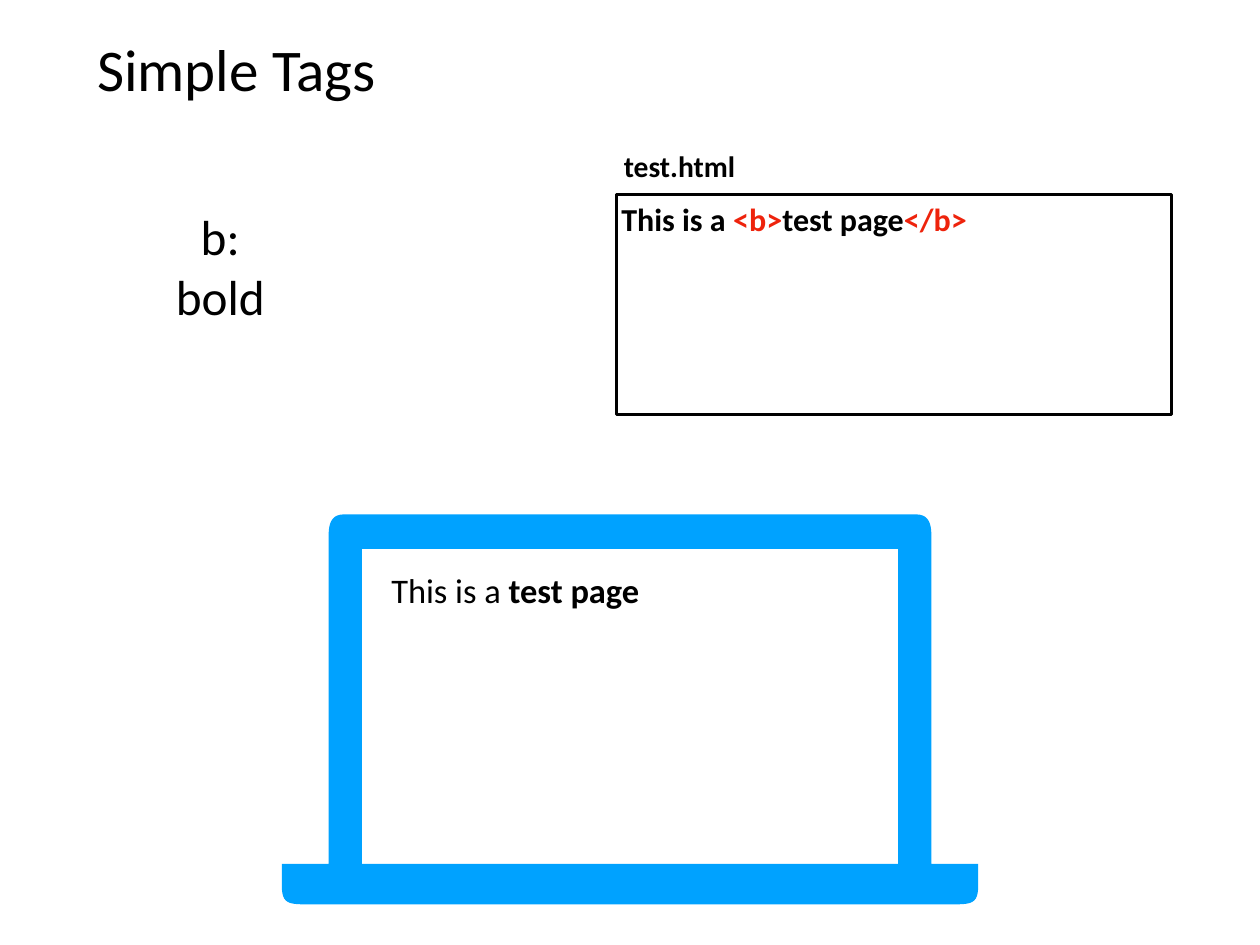
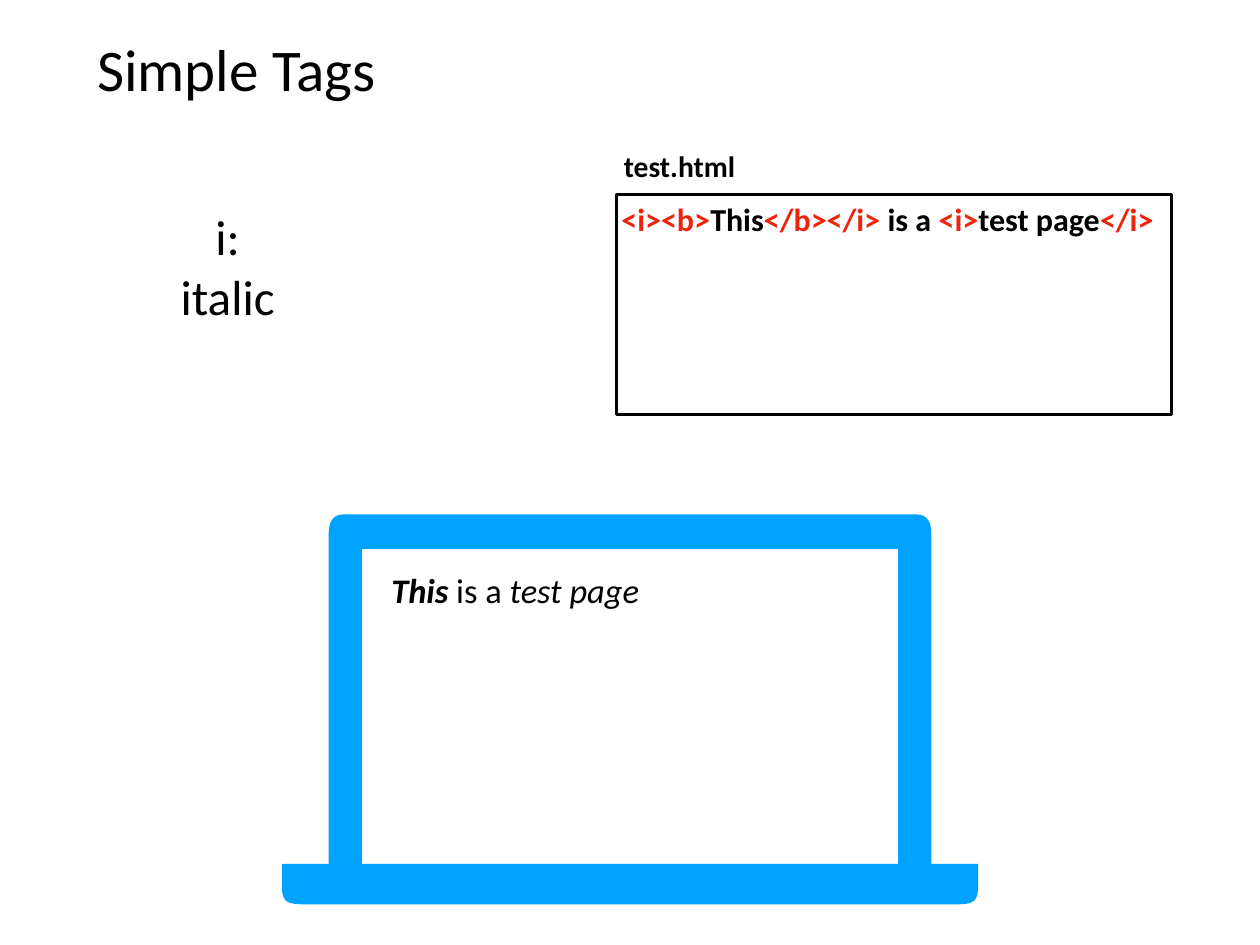
import pptx
import pptx.dml.color
import pptx.enum.shapes
import pptx.enum.text
import pptx.util

PX = 12700
WIDTH, HEIGHT = 1024, 768
CENTER = WIDTH // 2
INSET = 4
FONT = "Calibri"
COLORS = {"text": "000000", "tag": "EE230C", "laptop": "00A2FF", "paper": "FFFFFF"}
ALIGN = pptx.enum.text.PP_ALIGN
ANCHOR = pptx.enum.text.MSO_ANCHOR

PLAIN = {}
BOLD = {"bold": True}
ITALIC = {"italic": True}
BOLD_ITALIC = {"bold": True, "italic": True}
TAG = {"bold": True, "color": "tag"}


def px(value):
    return pptx.util.Emu(round(value * PX))


def color(name):
    return pptx.dml.color.RGBColor.from_string(COLORS[name])


def curve(start, first, second, end, steps=12):
    """Return the points of a cubic Bezier curve, both ends included."""
    weights = [((1 - t) ** 3, 3 * t * (1 - t) ** 2, 3 * t * t * (1 - t), t ** 3)
               for t in (step / steps for step in range(steps + 1))]
    controls = (start, first, second, end)
    return [tuple(sum(w * point[axis] for w, point in zip(row, controls))
                  for axis in (0, 1)) for row in weights]


def mirrored(left_half):
    """Complete an outline with its reflection in the slide's centre line."""
    return left_half + [(2 * CENTER - x, y) for x, y in reversed(left_half)]


class Deck:
    def __init__(self):
        self.presentation = pptx.Presentation()
        self.presentation.slide_width = px(WIDTH)
        self.presentation.slide_height = px(HEIGHT)
        self.slide = None

    def add_slide(self, title):
        layout = self.presentation.slide_layouts.get_by_name("Title Only")
        self.slide = self.presentation.slides.add_slide(layout)
        shape = self.slide.shapes.title
        box = {"left": 75, "top": 20, "width": 874, "height": 71}
        for name, value in box.items():
            setattr(shape, name, px(value))
        self.fill_text(shape, [(title, PLAIN)], 48)

    def fill_text(self, shape, runs, size, align=ALIGN.LEFT, anchor=ANCHOR.MIDDLE,
                  wrap=True):
        """Fill a shape with one paragraph of (text, format) runs."""
        frame = shape.text_frame
        frame_format = {"word_wrap": wrap, "vertical_anchor": anchor,
                        "auto_size": pptx.enum.text.MSO_AUTO_SIZE.NONE}
        for side in ("left", "top", "right", "bottom"):
            frame_format["margin_" + side] = px(INSET)
        for name, value in frame_format.items():
            setattr(frame, name, value)
        paragraph = frame.paragraphs[0]
        paragraph.alignment = align
        for text, run_format in runs:
            for index, line in enumerate(text.split("\n")):
                if index:
                    paragraph.add_line_break()
                run = paragraph.add_run()
                run.text = line
                font_format = {"name": FONT, "size": pptx.util.Pt(size),
                               "bold": run_format.get("bold", False),
                               "italic": run_format.get("italic", False)}
                for name, value in font_format.items():
                    setattr(run.font, name, value)
                run.font.color.rgb = color(run_format.get("color", "text"))

    def text(self, box, runs, size, align=ALIGN.LEFT):
        shape = self.slide.shapes.add_textbox(*map(px, box))
        self.fill_text(shape, runs, size, align, wrap=False)

    def code_box(self, box, runs):
        shape = self.slide.shapes.add_shape(
            pptx.enum.shapes.MSO_SHAPE.RECTANGLE, *map(px, box))
        shape.shadow.inherit = False
        shape.fill.solid()
        shape.fill.fore_color.rgb = color("paper")
        shape.line.color.rgb = color("text")
        shape.line.width = pptx.util.Pt(2)
        self.fill_text(shape, runs, 26, anchor=ANCHOR.TOP)

    def laptop(self):
        body = mirrored(
            curve((280, 418), (266, 418), (267, 430), (267, 444))
            + [(267, 702), (229, 702)]
            + curve((229, 702), (229, 702), (229, 710), (229, 719))
            + curve((229, 719), (229, 735), (234, 735), (253, 735)))
        screen = mirrored([(294, 446), (294, 702)])
        builder = self.slide.shapes.build_freeform(*map(px, body[0]))
        builder.add_line_segments([tuple(map(px, point)) for point in body[1:]])
        builder.move_to(*map(px, screen[0]))
        builder.add_line_segments([tuple(map(px, point)) for point in screen[1:]])
        shape = builder.convert_to_shape()
        shape.shadow.inherit = False
        shape.fill.solid()
        shape.fill.fore_color.rgb = color("laptop")
        shape.line.fill.background()


TAG_SLIDES = [
    {"term": "b:\nbold", "term_box": (139, 163, 80, 106),
     "code": [("This is a ", BOLD), ("<b>", TAG), ("test page", BOLD), ("</b>", TAG)],
     "result": [("This is a ", PLAIN), ("test page", BOLD)], "result_width": 240},
    {"term": "i:\nitalic", "term_box": (143, 163, 84, 106),
     "code": [("<i><b>", TAG), ("This", BOLD), ("</b></i>", TAG), (" is a ", BOLD),
              ("<i>", TAG), ("test page", BOLD), ("</i>", TAG)],
     "result": [("This", BOLD_ITALIC), (" is a ", PLAIN), ("test page", ITALIC)],
     "result_width": 214},
]


def main():
    deck = Deck()
    for content in TAG_SLIDES:
        deck.add_slide("Simple Tags")
        deck.laptop()
        deck.text((314, 459, content["result_width"], 41), content["result"], 28)
        deck.code_box((501, 158, 451, 179), content["code"])
        deck.text((503, 117, 122, 36), [("test.html", BOLD)], 24)
        deck.text(content["term_box"], [(content["term"], PLAIN)], 40, ALIGN.CENTER)
    deck.presentation.save("out.pptx")


if __name__ == "__main__":
    main()
